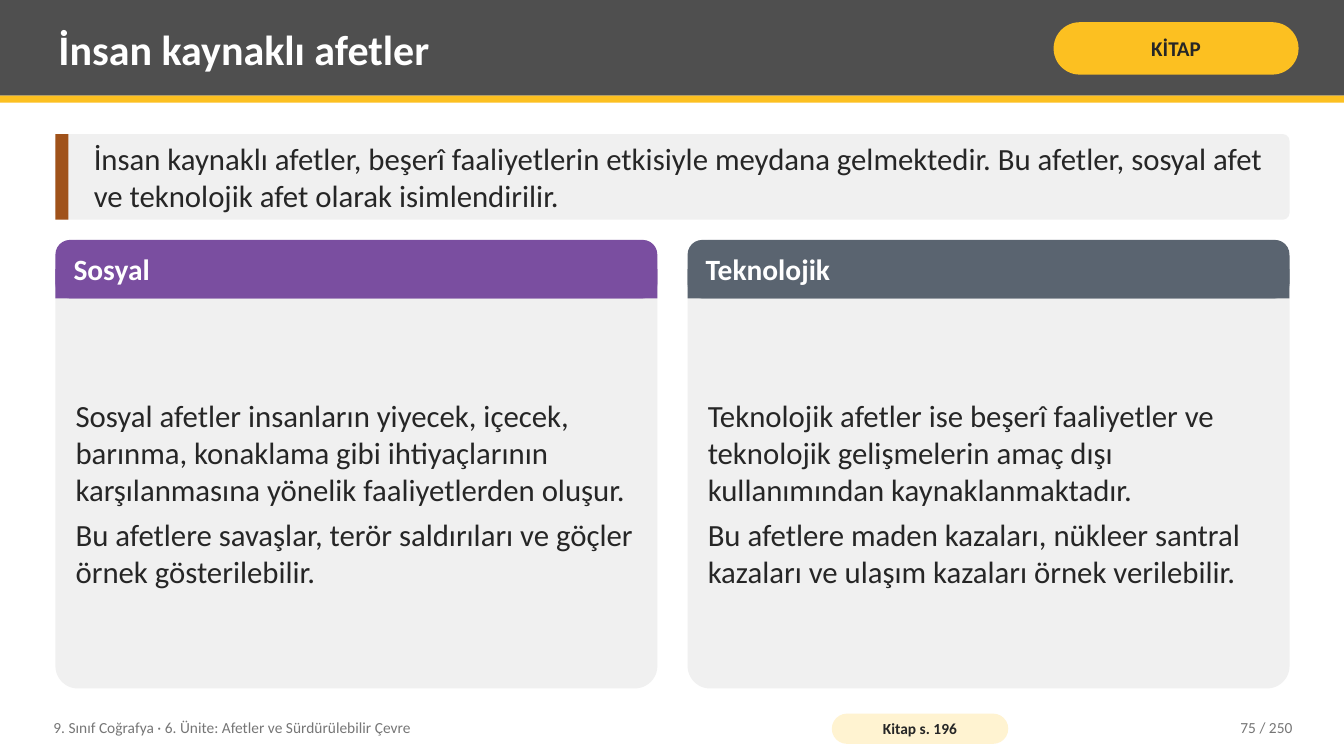
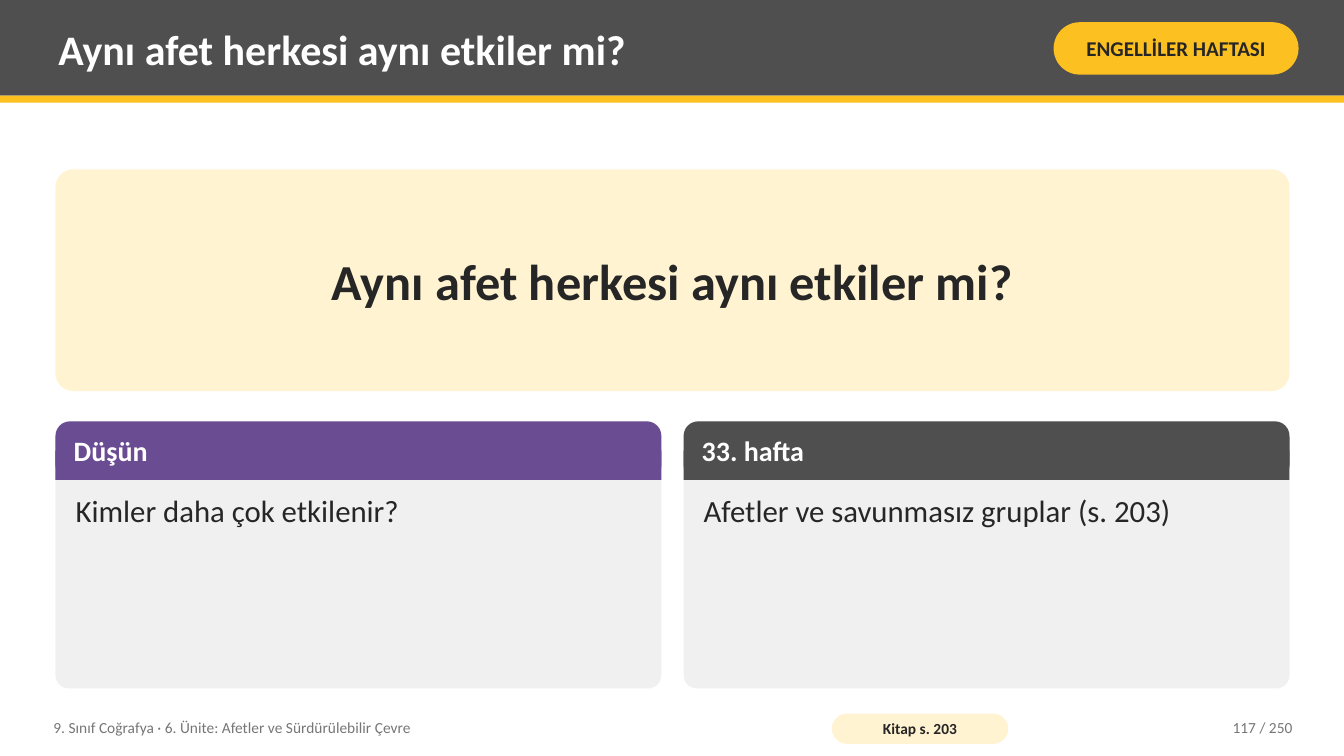
from pptx import Presentation
from pptx.dml.color import RGBColor
from pptx.enum.shapes import MSO_SHAPE
from pptx.enum.text import MSO_ANCHOR, MSO_AUTO_SIZE, PP_ALIGN
from pptx.util import Pt

RECTANGLE = MSO_SHAPE.RECTANGLE
ROUNDED = MSO_SHAPE.ROUNDED_RECTANGLE
TOP, MIDDLE = MSO_ANCHOR.TOP, MSO_ANCHOR.MIDDLE
LEFT, CENTER, RIGHT = PP_ALIGN.LEFT, PP_ALIGN.CENTER, PP_ALIGN.RIGHT
NO_AUTOFIT = MSO_AUTO_SIZE.NONE

PX = 9144
PAGE_WIDTH, PAGE_HEIGHT = 1333, 750
MARGIN, CONTENT_WIDTH = 55, 1224
CARD_BOTTOM, CARD_HEADER = 683, 58
TITLE_ONLY_LAYOUT = 5
PAGE_TOTAL = 250

WHITE = RGBColor(0xFF, 0xFF, 0xFF)
INK = RGBColor(0x26, 0x26, 0x26)
MUTED = RGBColor(0x76, 0x76, 0x76)
CHARCOAL = RGBColor(0x4F, 0x4F, 0x4F)
YELLOW = RGBColor(0xFC, 0xC0, 0x21)
CREAM = RGBColor(0xFF, 0xF3, 0xD1)
PALE_GRAY = RGBColor(0xF0, 0xF0, 0xF0)
BROWN = RGBColor(0xA0, 0x52, 0x1A)
PURPLE = RGBColor(0x7A, 0x4E, 0xA0)
SLATE = RGBColor(0x5A, 0x64, 0x70)
VIOLET = RGBColor(0x6A, 0x4C, 0x93)

TITLE_FONT = {"name": "Calibri", "size": Pt(30), "bold": True}
BADGE_FONT = {"name": "Calibri", "size": Pt(15), "bold": True}
QUESTION_FONT = {"name": "Calibri", "size": Pt(36), "bold": True}
BODY_FONT = {"name": "Calibri", "size": Pt(22), "bold": False}
FOOTER_FONT = {"name": "Calibri", "size": Pt(11), "bold": False}
SOURCE_FONT = {"name": "Calibri", "size": Pt(11), "bold": True}


def scaled(*lengths):
    return [length * PX for length in lengths]


def apply_format(target, values):
    for name, value in values.items():
        setattr(target, name, value)


def write_text(frame, paragraphs, font, color, align=LEFT, anchor=MIDDLE,
               insets=(8, 4), gap=0):
    side, end = scaled(*insets)
    apply_format(frame, {
        "word_wrap": True, "auto_size": NO_AUTOFIT, "vertical_anchor": anchor,
        "margin_left": side, "margin_right": side,
        "margin_top": end, "margin_bottom": end,
    })
    for index, text in enumerate(paragraphs):
        para = frame.add_paragraph() if index else frame.paragraphs[0]
        para.alignment = align
        if index:
            frame.paragraphs[index - 1].space_after = Pt(gap)
        span = para.add_run()
        span.text = text
        apply_format(span.font, font)
        span.font.color.rgb = color


def add_block(page, bounds, fill, kind=RECTANGLE, radius=None):
    block = page.shapes.add_shape(kind, *scaled(*bounds))
    block.shadow.inherit = False
    block.fill.solid()
    block.fill.fore_color.rgb = fill
    block.line.fill.background()
    if radius is not None:
        block.adjustments[0] = radius
    return block


def add_label(page, bounds, paragraphs, font, color, **layout):
    box = page.shapes.add_textbox(*scaled(*bounds))
    write_text(box.text_frame, paragraphs, font, color, **layout)
    return box


def add_pill(page, bounds, text, fill, font, insets, radius=0.5):
    pill = add_block(page, bounds, fill, ROUNDED, radius)
    write_text(pill.text_frame, [text], font, INK, CENTER, insets=insets)


def share_on_layout(page):
    shared = [
        add_block(page, (0, 0, PAGE_WIDTH, 95), CHARCOAL),
        add_block(page, (0, 95, PAGE_WIDTH, 7), YELLOW),
        add_label(page, (45, 704, 760, 36),
                  ["9. Sınıf Coğrafya · 6. Ünite: Afetler ve Sürdürülebilir Çevre"],
                  FOOTER_FONT, MUTED),
    ]
    layout_tree = page.slide_layout.shapes.element
    for shape in shared:
        layout_tree.append(shape.element)


def add_page(deck, title, badge, source, number):
    page = deck.slides.add_slide(deck.slide_layouts[TITLE_ONLY_LAYOUT])
    heading = page.shapes.title
    bounds = scaled(50, 7, 975, 82)
    apply_format(heading, dict(zip(("left", "top", "width", "height"), bounds)))
    write_text(heading.text_frame, [title], TITLE_FONT, WHITE)
    add_pill(page, (1045, 22, 243, 52), badge, YELLOW, BADGE_FONT, (5, 2))
    add_pill(page, (825, 708, 175, 30), source, CREAM, SOURCE_FONT, (4, 0))
    add_label(page, (1130, 704, 160, 36), [f"{number} / {PAGE_TOTAL}"],
              FOOTER_FONT, MUTED, align=RIGHT)
    return page


def add_callout(page, text):
    top, height = 133, 85
    add_block(page, (MARGIN, top, CONTENT_WIDTH, height), PALE_GRAY, ROUNDED, 0.08)
    add_block(page, (MARGIN, top, 13, height), BROWN)
    add_label(page, (85, top, 1178, height), [text], BODY_FONT, INK)


def add_card(page, left, top, width, card, header_size, anchor):
    header, color, paragraphs = card
    height = CARD_BOTTOM - top
    half = CARD_HEADER // 2
    add_block(page, (left, top, width, height), PALE_GRAY, ROUNDED, 0.05)
    add_block(page, (left, top, width, CARD_HEADER), color, ROUNDED, 0.25)
    add_block(page, (left, top + half, width, half), color)
    header_font = {"name": "Calibri", "size": Pt(header_size), "bold": True}
    add_label(page, (left + 10, top, width - 20, CARD_HEADER), [header],
              header_font, WHITE)
    add_label(page, (left + 12, top + CARD_HEADER + 8, width - 24,
                     height - CARD_HEADER - 16),
              paragraphs, BODY_FONT, INK, anchor=anchor, gap=6)


def add_cards(page, top, gap, cards, header_size, anchor):
    width = (CONTENT_WIDTH - gap * (len(cards) - 1)) // len(cards)
    for index, card in enumerate(cards):
        left = MARGIN + index * (width + gap)
        add_card(page, left, top, width, card, header_size, anchor)


def build_disaster_types(deck):
    page = add_page(deck, "İnsan kaynaklı afetler", "KİTAP", "Kitap s. 196", 75)
    share_on_layout(page)
    add_callout(page, "İnsan kaynaklı afetler, beşerî faaliyetlerin etkisiyle meydana "
                      "gelmektedir. Bu afetler, sosyal afet ve teknolojik afet olarak "
                      "isimlendirilir.")
    cards = [
        ("Sosyal", PURPLE, [
            "Sosyal afetler insanların yiyecek, içecek, barınma, konaklama gibi "
            "ihtiyaçlarının karşılanmasına yönelik faaliyetlerden oluşur.",
            "Bu afetlere savaşlar, terör saldırıları ve göçler örnek gösterilebilir.",
        ]),
        ("Teknolojik", SLATE, [
            "Teknolojik afetler ise beşerî faaliyetler ve teknolojik gelişmelerin "
            "amaç dışı kullanımından kaynaklanmaktadır.",
            "Bu afetlere maden kazaları, nükleer santral kazaları ve ulaşım kazaları "
            "örnek verilebilir.",
        ]),
    ]
    add_cards(page, 238, 30, cards, 21, MIDDLE)


def build_question(deck):
    question = "Aynı afet herkesi aynı etkiler mi?"
    page = add_page(deck, question, "ENGELLİLER HAFTASI", "Kitap s. 203", 117)
    add_pill(page, (MARGIN, 168, CONTENT_WIDTH, 220), question, CREAM,
             QUESTION_FONT, (14, 8), 0.08)
    cards = [
        ("Düşün", VIOLET, ["Kimler daha çok etkilenir?"]),
        ("33. hafta", CHARCOAL, ["Afetler ve savunmasız gruplar (s. 203)"]),
    ]
    add_cards(page, 418, 22, cards, 20, TOP)


def main():
    deck = Presentation()
    deck.slide_width, deck.slide_height = scaled(PAGE_WIDTH, PAGE_HEIGHT)
    build_disaster_types(deck)
    build_question(deck)
    deck.save("out.pptx")


if __name__ == "__main__":
    main()
